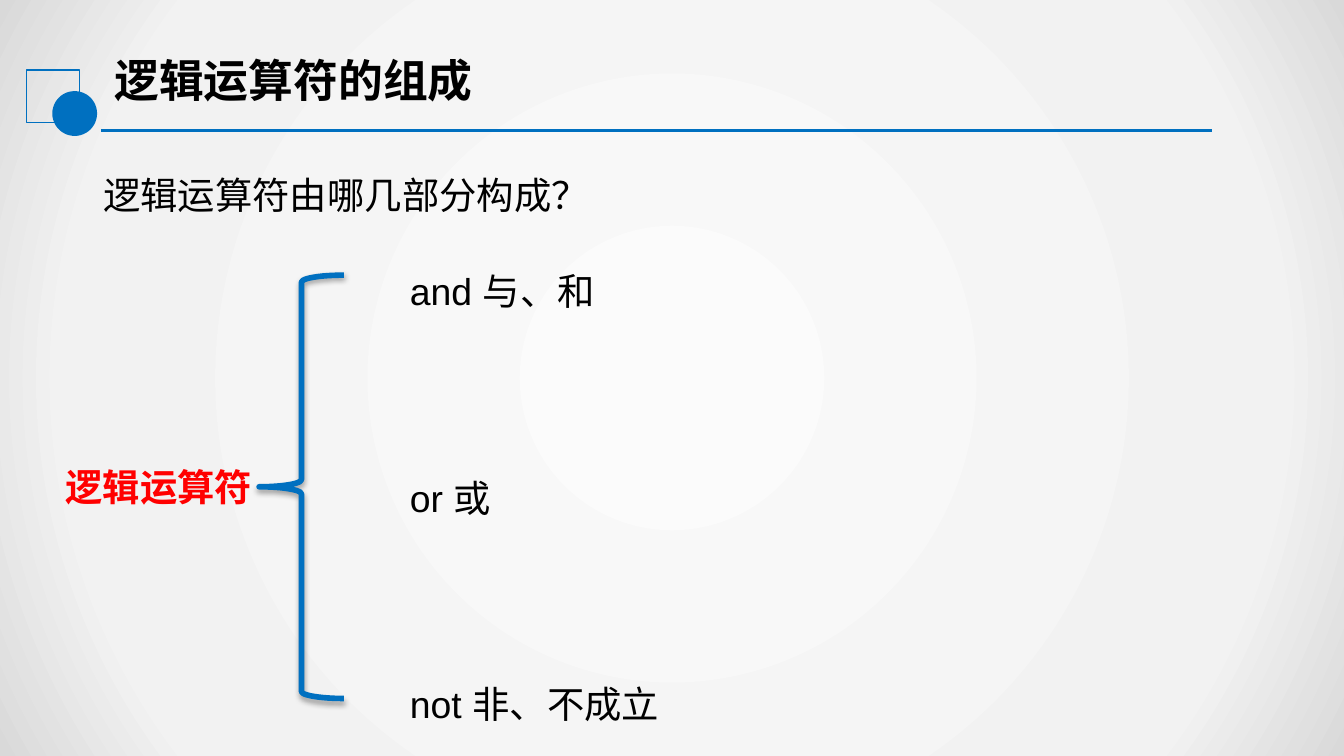
from lxml import etree
from pptx import Presentation
from pptx import util as u
from pptx.dml.color import RGBColor
from pptx.enum import shapes, text
from pptx.oxml import parse_xml
from pptx.oxml.ns import nsdecls, qn

BLUE, BLACK, RED = "0070C0", "000000", "FF0000"
CJK_FONT = "Noto Sans CJK SC"


def color(value):
    return RGBColor.from_string(value)


def place(shape, left, top, width, height):
    shape.left, shape.top = u.Pt(left), u.Pt(top)
    shape.width, shape.height = u.Pt(width), u.Pt(height)


def write(shape, words, size=20, ink=BLACK, bold=False, font="Arial"):
    """Fill a text box or placeholder with one left-aligned line."""
    frame = shape.text_frame
    frame.word_wrap = True
    frame.auto_size = text.MSO_AUTO_SIZE.SHAPE_TO_FIT_TEXT
    frame.vertical_anchor = text.MSO_ANCHOR.TOP
    paragraph = frame.paragraphs[0]
    paragraph.text = words
    paragraph.alignment = text.PP_ALIGN.LEFT
    paragraph.space_before = u.Pt(0)
    properties = paragraph._p.get_or_add_pPr()
    properties.set("marL", "0")
    properties.set("indent", "0")
    etree.SubElement(properties, qn("a:buNone"))
    paragraph.font.size = u.Pt(size)
    paragraph.font.bold = bold
    paragraph.font.color.rgb = color(ink)
    paragraph.font.name = font
    east_asian = etree.SubElement(properties.find(qn("a:defRPr")), qn("a:ea"))
    east_asian.set("typeface", CJK_FONT)


def add_label(slide, words, left, top, width, **style):
    box = slide.shapes.add_textbox(u.Pt(left), u.Pt(top), u.Pt(width), u.Pt(31.5))
    write(box, words, **style)


def add_shape(slide, kind, left, top, width, height, fill=None, line=None):
    shape = slide.shapes.add_shape(
        kind, u.Pt(left), u.Pt(top), u.Pt(width), u.Pt(height))
    shape.shadow.inherit = False
    if fill:
        shape.fill.solid()
        shape.fill.fore_color.rgb = color(fill)
    else:
        shape.fill.background()
    if line:
        shape.line.color.rgb = color(BLUE)
        shape.line.width = u.Pt(line)
    else:
        shape.line.fill.background()
    return shape


def add_rule(slide, left, right, top):
    rule = slide.shapes.add_connector(
        shapes.MSO_CONNECTOR.STRAIGHT, u.Pt(left), u.Pt(top), u.Pt(right), u.Pt(top))
    rule.line.color.rgb = color(BLUE)
    rule.line.width = u.Pt(1.25)
    etree.SubElement(rule._element.spPr, qn("a:effectLst"))


def add_shadow(shape, blur, distance, alpha):
    effects = shape._element.spPr.find(qn("a:effectLst"))
    effects.append(parse_xml(
        f'<a:outerShdw {nsdecls("a")} blurRad="{u.Pt(blur)}" dist="{u.Pt(distance)}" '
        f'dir="5400000" rotWithShape="0"><a:srgbClr val="{BLACK}">'
        f'<a:alpha val="{alpha * 1000}"/></a:srgbClr></a:outerShdw>'))


def paint_background(slide):
    """Radial gradient from a light centre to grey edges."""
    fill = slide.background.fill
    fill.gradient()
    gradient = slide._element.cSld.find(".//" + qn("a:gradFill"))
    stops = "".join(
        f'<a:gs pos="{position * 1000}"><a:srgbClr val="{value}"/></a:gs>'
        for position, value in ((0, "FBFBFB"), (79, "F2F2F2"), (100, "D9D9D9")))
    gradient.getparent().replace(gradient, parse_xml(
        f'<a:gradFill {nsdecls("a")} rotWithShape="1"><a:gsLst>{stops}</a:gsLst>'
        '<a:path path="circle"><a:fillToRect l="50000" t="50000" r="50000" b="50000"/>'
        '</a:path></a:gradFill>'))


def main():
    presentation = Presentation()
    presentation.slide_width, presentation.slide_height = u.Pt(720), u.Pt(405)
    slide = presentation.slides.add_slide(presentation.slide_layouts[1])
    paint_background(slide)

    # Heading with its ornament
    title, question = slide.placeholders
    place(title, 54, 24.5, 329, 36)
    write(title, "逻辑运算符的组成", size=24, bold=True, font=CJK_FONT)
    kinds = shapes.MSO_SHAPE
    add_shape(slide, kinds.RECTANGLE, 14.2, 37.5, 28.3, 28.3, line=0.75)
    add_rule(slide, 54, 649.5, 70)
    add_shape(slide, kinds.OVAL, 28, 48.8, 24, 24, fill=BLUE)

    # Question
    place(question, 48, 88.5, 287, 31.5)
    write(question, "逻辑运算符由哪几部分构成？")

    # Brace diagram
    add_label(slide, "逻辑运算符", 28, 245, 127.5, ink=RED, bold=True)
    brace = add_shape(slide, kinds.LEFT_BRACE, 138.8, 147.4, 45.4, 226.8, line=3)
    add_shadow(brace, blur=3.1, distance=1.8, alpha=35)
    operators = ("and 与、和", "or 或", "not 非、不成立")
    for row, operator in enumerate(operators):
        add_label(slide, operator, 212.5, 140 + 110.75 * row, 177)

    presentation.save("out.pptx")


if __name__ == "__main__":
    main()
